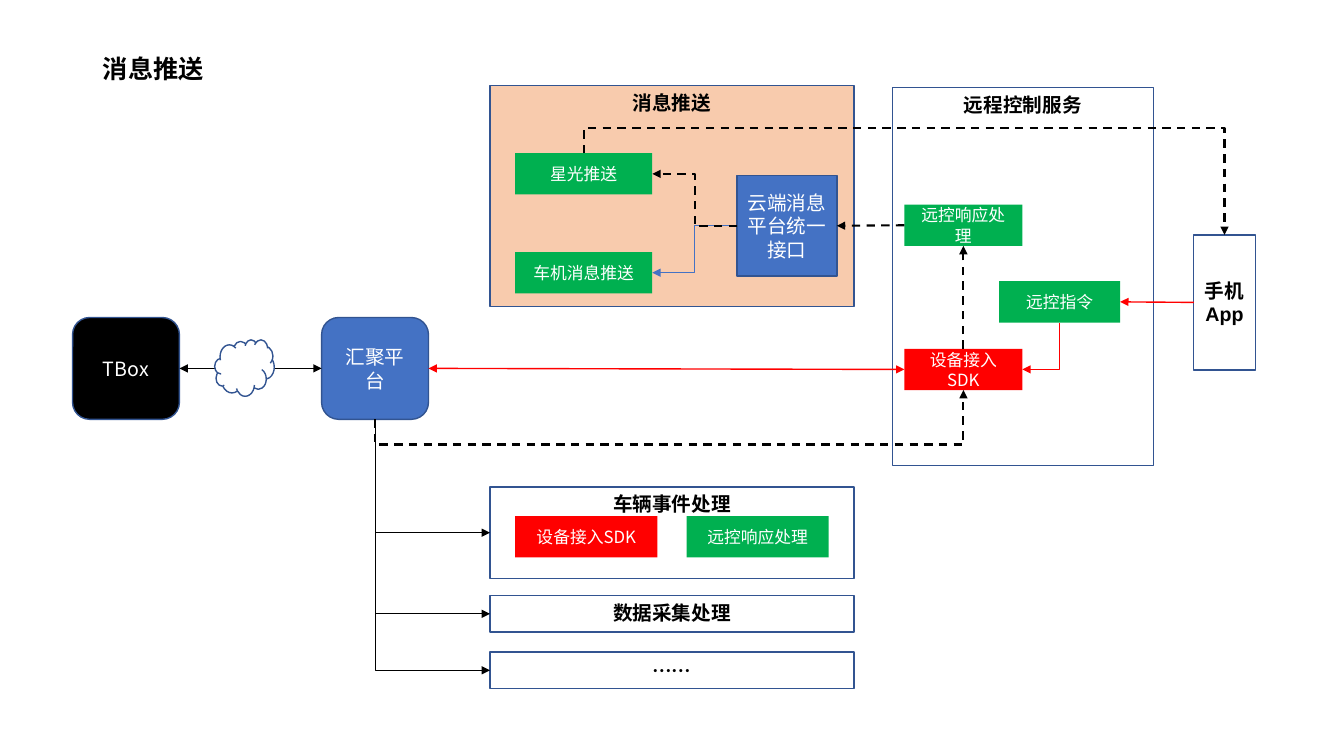
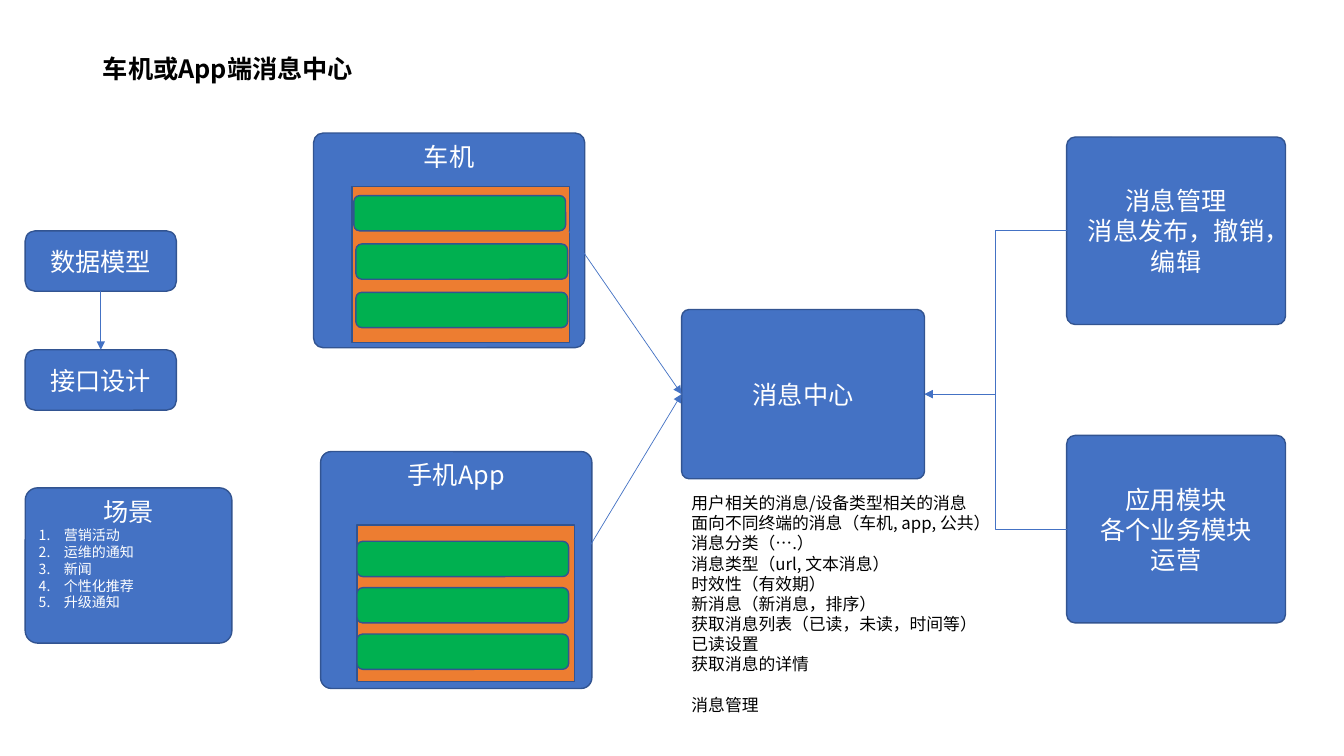
"""Build two slides on vehicle message push and the message centre."""
from lxml.etree import SubElement
from pptx import Presentation
from pptx.dml.color import RGBColor
from pptx.enum.dml import MSO_LINE
from pptx.enum.shapes import MSO_CONNECTOR as LINK, MSO_SHAPE as SHAPE
from pptx.enum.text import MSO_ANCHOR as ANCHOR, MSO_AUTO_SIZE as FIT, PP_ALIGN as ALIGN
from pptx.oxml.ns import qn
from pptx.util import Inches, Pt

FONT = "Noto Sans CJK SC"
BLACK = RGBColor(0x00, 0x00, 0x00)
WHITE = RGBColor(0xFF, 0xFF, 0xFF)
BLUE = RGBColor(0x44, 0x72, 0xC4)
NAVY = RGBColor(0x32, 0x54, 0x91)
GREEN = RGBColor(0x00, 0xB0, 0x50)
RED = RGBColor(0xFF, 0x00, 0x00)
ORANGE = RGBColor(0xED, 0x7D, 0x31)
PEACH = RGBColor(0xF8, 0xCB, 0xAD)

TOP, LEFT, BOTTOM, RIGHT = range(4)
HEADING = {"size": Pt(14), "bold": True, "color": BLACK}
NODE = {"size": Pt(14), "color": WHITE}
STEP = {"size": Pt(12), "color": WHITE}
LARGE = {"size": Pt(18), "color": WHITE}
SMALL = {"size": Pt(10), "color": WHITE}
NOTE = {"size": Pt(12), "color": BLACK}
TITLE = {"size": Pt(18), "bold": True, "color": BLACK}
DASHED = {"color": BLACK, "width": 1.5, "dash": True}
COMMAND = {"color": RED, "width": 1}
FLOW = {"color": BLACK, "width": 0.5}
THIN = {"color": BLUE, "width": 0.5}


def add_run(paragraph, text, style):
    """Write styled text with matching Latin and East Asian fonts."""
    run = paragraph.add_run()
    run.text = text
    values = {"name": FONT, **style}
    run.font.color.rgb = values.pop("color")
    for name, value in values.items():
        setattr(run.font, name, value)
    SubElement(run.font._element, qn("a:ea"), typeface=FONT)


def write_lines(frame, lines, style, align=ALIGN.CENTER):
    """Fill a text frame with one paragraph per line."""
    for index, line in enumerate(lines):
        paragraph = frame.paragraphs[0] if index == 0 else frame.add_paragraph()
        paragraph.alignment = align
        add_run(paragraph, line, style)


def add_box(slide, bounds, text="", style=NODE, fill=None, edge=NAVY,
            kind=SHAPE.RECTANGLE, anchor=ANCHOR.MIDDLE, corner=None):
    """Add a preset shape with centred text."""
    box = slide.shapes.add_shape(kind, *map(Inches, bounds))
    box.shadow.inherit = False
    if corner is not None:
        box.adjustments[0] = corner
    if fill is None:
        box.fill.background()
    else:
        box.fill.solid()
        box.fill.fore_color.rgb = fill
    if edge is None:
        box.line.fill.background()
    else:
        box.line.color.rgb = edge
        box.line.width = Pt(1)
    box.text_frame.word_wrap = True
    box.text_frame.vertical_anchor = anchor
    if text:
        write_lines(box.text_frame, text.split("\n"), style)
    return box


def add_step(slide, bounds, text, fill=GREEN):
    """Add a borderless processing step."""
    return add_box(slide, bounds, text, STEP, fill, None)


def add_card(slide, bounds, text="", fill=BLUE, corner=None, anchor=ANCHOR.MIDDLE):
    """Add a rounded card with large text."""
    return add_box(slide, bounds, text, LARGE, fill, NAVY,
                   SHAPE.ROUNDED_RECTANGLE, anchor, corner)


def site(box, side):
    """Return the midpoint of one side of a box."""
    middle_x, middle_y = box.left + box.width // 2, box.top + box.height // 2
    return {TOP: (middle_x, box.top), LEFT: (box.left, middle_y),
            BOTTOM: (middle_x, box.top + box.height),
            RIGHT: (box.left + box.width, middle_y)}[side]


def style_link(link, color, width, dash=False, both=False):
    """Format a connector and its arrowheads."""
    link.line.color.rgb = color
    link.line.width = Pt(width)
    if dash:
        link.line.dash_style = MSO_LINE.DASH
    stroke = link.line._ln
    for end in ("a:headEnd", "a:tailEnd")[0 if both else 1:]:
        SubElement(stroke, qn(end), type="triangle")
    SubElement(link._element.spPr, qn("a:effectLst"))


def add_arrow(slide, start, end, look):
    """Draw a straight arrow between two points."""
    link = slide.shapes.add_connector(LINK.STRAIGHT, *start, *end)
    style_link(link, **look)
    return link


def glue(link, source, out_side, target, in_side):
    """Attach both ends of a connector to boxes."""
    link.begin_connect(source, out_side)
    link.end_connect(target, in_side)


def join(slide, source, out_side, target, in_side, look):
    """Link two boxes with a straight arrow."""
    link = add_arrow(slide, site(source, out_side), site(target, in_side), look)
    glue(link, source, out_side, target, in_side)


def join_elbow(slide, source, out_side, target, in_side, look, preset="bentConnector3", bend=None):
    """Link two boxes with a bent arrow; bend is the offset of its middle leg."""
    start, end = site(source, out_side), site(target, in_side)
    link = slide.shapes.add_connector(LINK.ELBOW, *start, *end)
    glue(link, source, out_side, target, in_side)
    dx, dy = end[0] - start[0], end[1] - start[1]
    width, height = abs(dx), abs(dy)
    if out_side in (TOP, BOTTOM):
        width, height = height, width
        if dx > 0 and dy > 0:
            turn, flip_h, flip_v = 270, True, False
        else:
            turn, flip_h, flip_v = 90, dy < 0, dx > 0
    else:
        turn, flip_h, flip_v = (180, False, dy > 0) if dx < 0 else (0, False, dy < 0)
    link.left = (start[0] + end[0] - width) // 2
    link.top = (start[1] + end[1] - height) // 2
    link.width, link.height = width, height
    frame = link._element.spPr.find(qn("a:xfrm"))
    for name, value in {"rot": turn * 60000, "flipH": int(flip_h), "flipV": int(flip_v)}.items():
        frame.set(name, str(value))
    geometry = link._element.spPr.find(qn("a:prstGeom"))
    geometry.set("prst", preset)
    if bend is not None:
        share = round(Inches(bend) / width * 100000)
        SubElement(geometry.find(qn("a:avLst")), qn("a:gd"), name="adj1", fmla=f"val {share}")
    style_link(link, **look)


def add_titled_slide(deck, text):
    """Add a title-only slide with the shared title style."""
    slide = deck.slides.add_slide(deck.slide_layouts[5])
    title = slide.shapes.title
    bounds = {"left": 0.92, "top": 0.4, "width": 11.5, "height": 0.6}
    for name, value in bounds.items():
        setattr(title, name, Inches(value))
    frame = title.text_frame
    frame.auto_size = FIT.NONE
    frame.vertical_anchor = ANCHOR.MIDDLE
    write_lines(frame, [text], TITLE, ALIGN.LEFT)
    frame.paragraphs[0].line_spacing = 0.9
    return slide


def build_push(deck):
    """Build the message push architecture."""
    slide = add_titled_slide(deck, "消息推送")
    add_box(slide, (4.86, 0.85, 3.61, 2.19), "消息推送", HEADING, PEACH, anchor=ANCHOR.TOP)
    phone_push = add_step(slide, (5.11, 1.52, 1.36, 0.41), "星光推送")
    car_push = add_step(slide, (5.11, 2.5, 1.36, 0.41), "车机消息推送")
    gateway = add_box(slide, (7.31, 1.74, 0.99, 1), "云端消息平台统一接口", NODE, BLUE)

    add_box(slide, (8.85, 0.87, 2.59, 3.75), "远程控制服务", HEADING, anchor=ANCHOR.TOP)
    response = add_step(slide, (8.97, 2.03, 1.17, 0.41), "远控响应处理")
    command = add_step(slide, (9.91, 2.79, 1.2, 0.41), "远控指令")
    sdk = add_step(slide, (8.97, 3.46, 1.17, 0.41), "设备接入SDK", RED)
    phone = add_box(slide, (11.84, 2.33, 0.61, 1.34), "手机App", {**HEADING, "name": "Arial"})

    rounded = SHAPE.ROUNDED_RECTANGLE
    hub = add_box(slide, (3.19, 3.15, 1.06, 1.01), "汇聚平台", NODE, BLUE, kind=rounded)
    tbox = add_box(slide, (0.72, 3.15, 1.06, 1.01), "TBox", NODE, BLACK, kind=rounded)
    join(slide, tbox, RIGHT, hub, LEFT, {"color": BLACK, "width": 1, "both": True})
    add_box(slide, (2.13, 3.37, 0.59, 0.56), fill=WHITE, kind=SHAPE.CLOUD)

    services = [
        add_box(slide, (4.86, top, 3.61, height), text, HEADING, anchor=anchor)
        for top, height, text, anchor in (
            (4.83, 0.91, "车辆事件处理", ANCHOR.TOP),
            (5.91, 0.36, "数据采集处理", ANCHOR.TOP),
            (6.47, 0.36, "……", ANCHOR.MIDDLE))]
    add_step(slide, (5.11, 5.12, 1.41, 0.41), "设备接入SDK", RED)
    add_step(slide, (6.81, 5.12, 1.41, 0.41), "远控响应处理")

    join_elbow(slide, gateway, LEFT, car_push, RIGHT, THIN)
    join_elbow(slide, gateway, LEFT, phone_push, RIGHT, DASHED)
    join(slide, sdk, LEFT, hub, RIGHT, {**COMMAND, "both": True})
    join_elbow(slide, hub, BOTTOM, sdk, BOTTOM, DASHED, bend=-0.25)
    join_elbow(slide, command, BOTTOM, sdk, RIGHT, COMMAND, "bentConnector2")
    join(slide, response, LEFT, gateway, RIGHT, DASHED)
    join_elbow(slide, phone_push, TOP, phone, TOP, DASHED, bend=-0.25)
    join(slide, phone, LEFT, command, RIGHT, COMMAND)
    join(slide, sdk, TOP, response, BOTTOM, DASHED)
    for service in services:
        join_elbow(slide, hub, BOTTOM, service, LEFT, FLOW, "bentConnector2")


def add_terminal(slide, bounds, text, panel, bar_lefts, first_top, pitch):
    """Add a terminal card holding a panel of message bars."""
    add_card(slide, bounds, text, corner=0.045, anchor=ANCHOR.TOP)
    add_box(slide, (*panel, 2.16, 1.55), fill=ORANGE)
    for index, left in enumerate(bar_lefts):
        add_card(slide, (left, first_top + index * pitch, 2.1, 0.35), fill=GREEN)


def add_scenes(slide):
    """Add the card with the numbered scenes."""
    card = add_card(slide, (0.25, 4.84, 2.05, 1.54), "场景", corner=0.08, anchor=ANCHOR.TOP)
    for scene in ("营销活动", "运维的通知", "新闻", "个性化推荐", "升级通知"):
        paragraph = card.text_frame.add_paragraph()
        paragraph.alignment = ALIGN.LEFT
        add_run(paragraph, scene, SMALL)
        indents = paragraph._p.get_or_add_pPr()
        for name, value in {"marL": Inches(0.25), "indent": -Inches(0.25)}.items():
            indents.set(name, str(value))
        SubElement(indents, qn("a:buFont"), typeface="+mj-lt")
        SubElement(indents, qn("a:buAutoNum"), type="arabicPeriod")


def add_features(slide):
    """List the features of the message centre."""
    notes = slide.shapes.add_textbox(*map(Inches, (6.76, 4.84, 3.37, 2.32)))
    frame = notes.text_frame
    frame.word_wrap = True
    write_lines(frame, (
        "用户相关的消息/设备类型相关的消息",
        "面向不同终端的消息（车机, app, 公共）",
        "消息分类（….）",
        "消息类型（url, 文本消息）",
        "时效性（有效期）",
        "新消息（新消息，排序）",
        "获取消息列表（已读，未读，时间等）",
        "已读设置",
        "获取消息的详情",
        "消息管理"), NOTE, ALIGN.LEFT)
    frame.paragraphs[-1].space_before = Pt(14.4)


def build_centre(deck):
    """Build the message centre overview."""
    slide = add_titled_slide(deck, "车机或App端消息中心")
    add_terminal(slide, (3.11, 1.32, 2.69, 2.13), "车机", (3.49, 1.85),
                 (3.51, 3.53, 3.53), 1.94, 0.48)
    add_terminal(slide, (3.18, 4.48, 2.69, 2.35), "手机App", (3.54, 5.21),
                 (3.54,) * 3, 5.37, 0.46)
    centre = add_card(slide, (6.76, 3.07, 2.41, 1.68), "消息中心", corner=0.045)
    for top, text in ((4.32, "应用模块\n各个业务模块\n运营"),
                      (1.36, "消息管理\n消息发布，撤销，编辑")):
        module = add_card(slide, (10.58, top, 2.17, 1.86), text, corner=0.045)
        join_elbow(slide, module, LEFT, centre, RIGHT, THIN)
    for start in ((5.64, 2.29), (5.71, 5.65)):
        add_arrow(slide, tuple(map(Inches, start)), site(centre, LEFT), THIN)
    add_features(slide)
    model, interface = [
        add_card(slide, (0.25, top, 1.5, 0.6), text)
        for top, text in ((2.29, "数据模型"), (3.47, "接口设计"))]
    join(slide, model, BOTTOM, interface, TOP, THIN)
    add_scenes(slide)


def main():
    """Create and save the deck."""
    deck = Presentation()
    deck.slide_width, deck.slide_height = Inches(13.33), Inches(7.5)
    build_push(deck)
    build_centre(deck)
    deck.save("out.pptx")


main()
